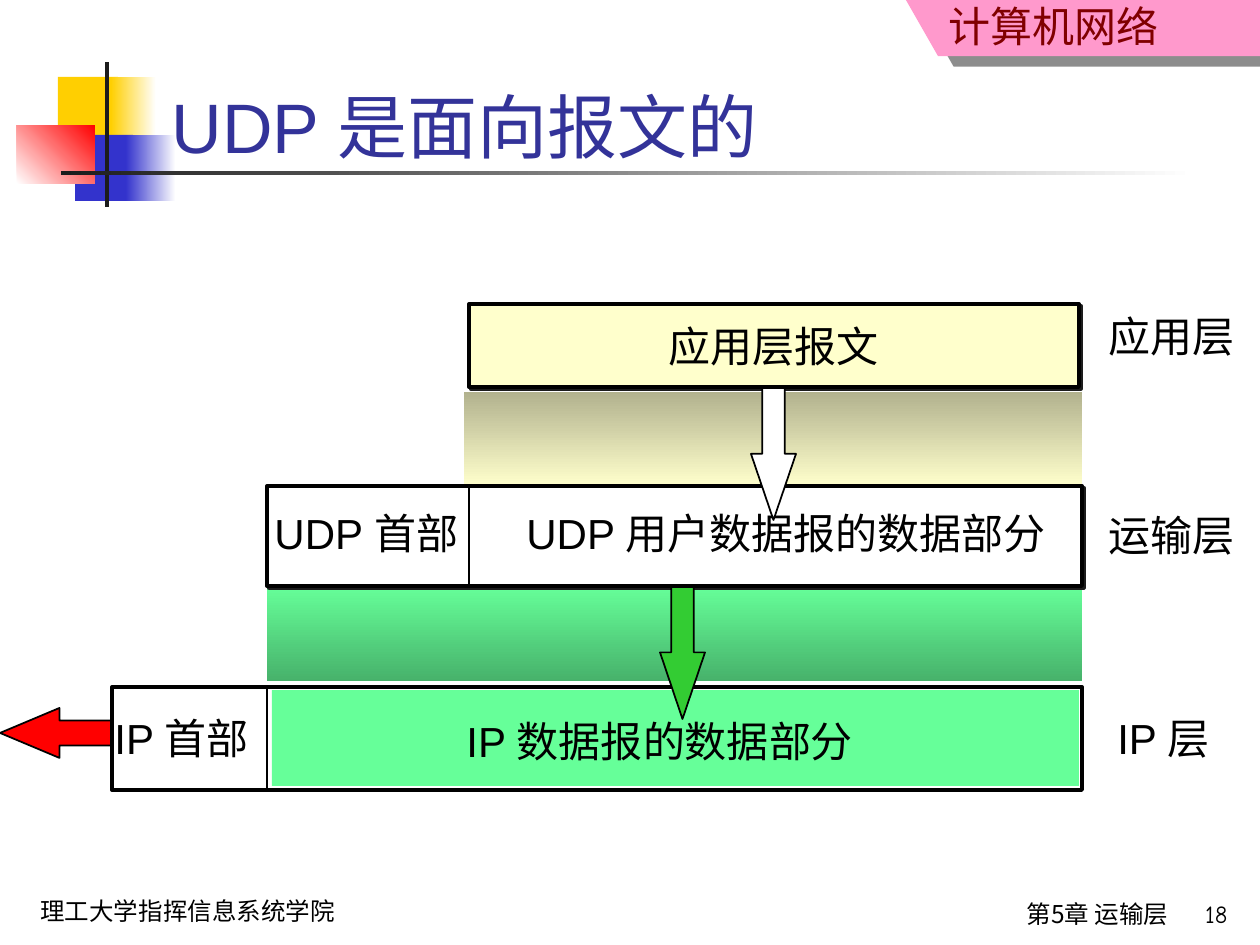
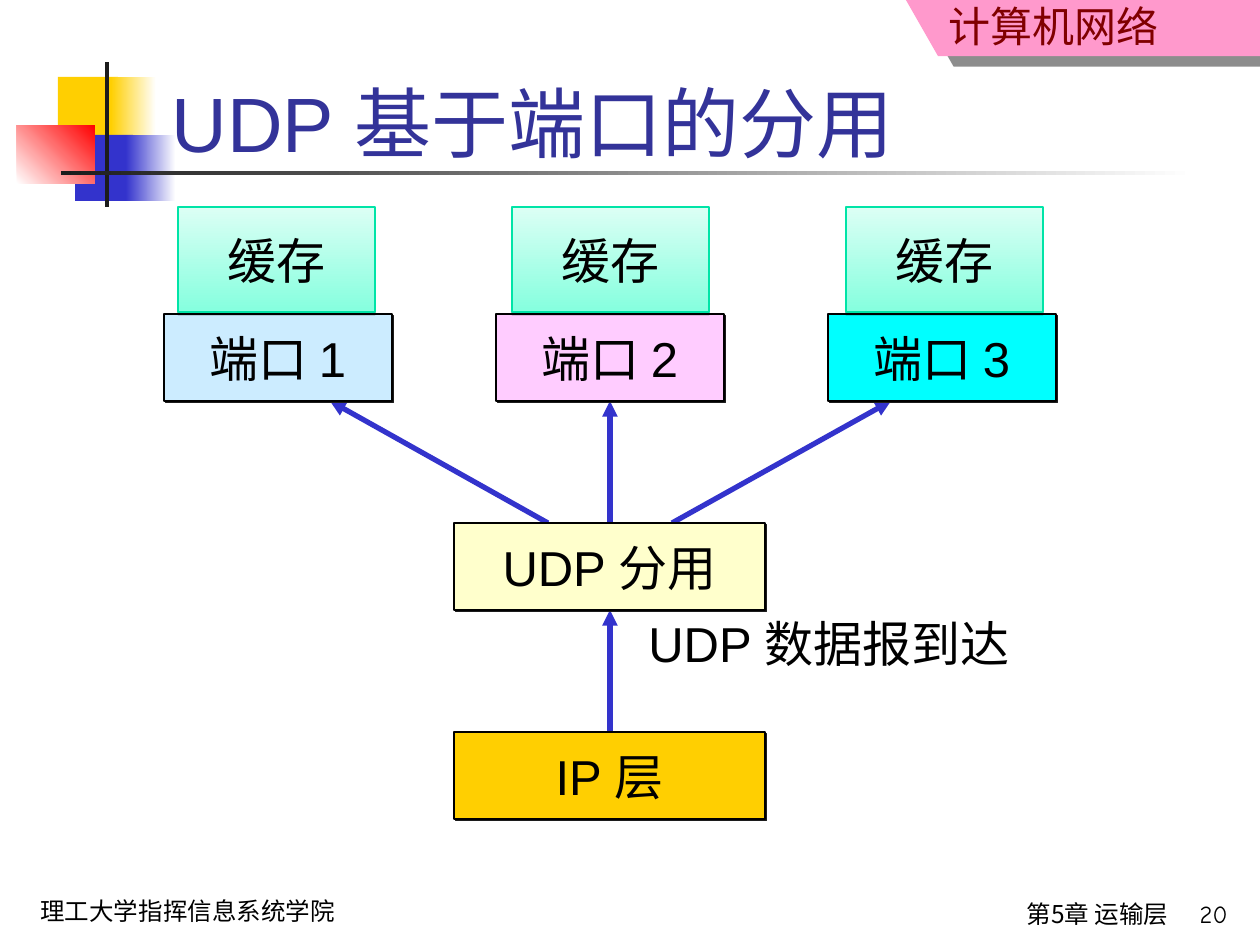
from dataclasses import dataclass
from typing import Optional

from lxml import etree
from pptx import Presentation
from pptx.dml.color import RGBColor
from pptx.enum.shapes import MSO_CONNECTOR, MSO_SHAPE
from pptx.enum.text import MSO_ANCHOR, MSO_AUTO_SIZE, PP_ALIGN
from pptx.oxml.ns import qn
from pptx.util import Emu, Pt

# Enum members
RECTANGLE = MSO_SHAPE.RECTANGLE
DOWN_ARROW = MSO_SHAPE.DOWN_ARROW
LEFT_ARROW = MSO_SHAPE.LEFT_ARROW
STRAIGHT = MSO_CONNECTOR.STRAIGHT
LEFT, CENTER, RIGHT = PP_ALIGN.LEFT, PP_ALIGN.CENTER, PP_ALIGN.RIGHT
TOP, MIDDLE, BOTTOM = MSO_ANCHOR.TOP, MSO_ANCHOR.MIDDLE, MSO_ANCHOR.BOTTOM
FIXED_SIZE, FIT_TEXT = MSO_AUTO_SIZE.NONE, MSO_AUTO_SIZE.SHAPE_TO_FIT_TEXT

# Scale, fonts and colours
EMU_PER_PIXEL = 914400 / 126
SLIDE_WIDTH, SLIDE_HEIGHT = 1260, 945
LATIN_FONT, HAND_FONT, CHINESE_FONT = "Arial", "Comic Neue", "Noto Sans CJK SC"
BLACK, WHITE, INK = "000000", "FFFFFF", "1C1C1C"
GOLD, BLUE, RED, CREAM, MINT = "FFCF01", "3333CC", "FF0000", "FFFFCC", "66FF99"
TITLE_COLOR, BANNER_COLOR, BANNER_TEXT = "333399", "FF99CC", "800000"
RIGHTWARD, UP_RIGHT, UPWARD, DOWNWARD = 0, 45, 90, 270


@dataclass(frozen=True)
class Box:
    left: int
    top: int
    width: int
    height: int


@dataclass(frozen=True)
class Gradient:
    start: str
    end: str
    angle: int


@dataclass(frozen=True)
class Shadow:
    color: str
    opacity: int
    distance: float
    angle: int


@dataclass(frozen=True)
class Block:
    box: Box
    fill: str | Gradient
    line: Optional[str] = None
    line_width: float = 0.75
    shadow: Optional[Shadow] = None
    text: str = ""
    size: int = 28


@dataclass(frozen=True)
class Label:
    text: str
    box: Box


@dataclass(frozen=True)
class Line:
    start: tuple[int, int]
    end: tuple[int, int]


HARD_SHADOW = Shadow(INK, 100, 1.4, 45)
SOFT_SHADOW = Shadow(BLACK, 38, 1.6, 90)
BANNER_SHADOW = Shadow(INK, 50, 10.8, 34)

# Decoration around the title
DECORATION = [
    Block(Box(58, 77, 60, 65), GOLD),
    Block(Box(111, 77, 45, 65), Gradient(GOLD, WHITE, RIGHTWARD)),
    Block(Box(75, 135, 58, 66), BLUE),
    Block(Box(126, 135, 50, 66), Gradient(BLUE, WHITE, RIGHTWARD)),
    Block(Box(17, 125, 78, 59), Gradient(WHITE, RED, UP_RIGHT)),
    Block(Box(105, 62, 4, 145), INK),
    Block(Box(61, 171, 1134, 4), Gradient(INK, WHITE, RIGHTWARD)),
]


def px(length: int) -> Emu:
    return Emu(round(length * EMU_PER_PIXEL))


def place(box: Box) -> tuple[Emu, Emu, Emu, Emu]:
    return px(box.left), px(box.top), px(box.width), px(box.height)


def rgb(color: str) -> RGBColor:
    return RGBColor.from_string(color)


def write_text(shape, text: str, *, size: int, color: str = BLACK,
               font: str = LATIN_FONT, align=LEFT, anchor=TOP, wrap: bool = False,
               auto_size=FIXED_SIZE) -> None:
    frame = shape.text_frame
    frame.text = text
    frame.word_wrap = wrap
    frame.auto_size = auto_size
    frame.vertical_anchor = anchor
    paragraph = frame.paragraphs[0]
    paragraph.alignment = align
    run = paragraph.runs[0]
    run.font.size = Pt(size)
    run.font.color.rgb = rgb(color)
    run.font.name = font
    east_asian = etree.SubElement(run.font._element, qn("a:ea"))
    east_asian.set("typeface", CHINESE_FONT)


def add_text(slide, text: str, box: Box, **text_format):
    shape = slide.shapes.add_textbox(*place(box))
    write_text(shape, text, **text_format)
    return shape


def add_labels(slide, labels: list[Label], size: int) -> None:
    for label in labels:
        add_text(slide, label.text, label.box, size=size, auto_size=FIT_TEXT)


def paint(shape, fill: str | Gradient, line: Optional[str] = None,
          line_width: float = 1, shadow: Optional[Shadow] = None) -> None:
    if isinstance(fill, Gradient):
        shape.fill.gradient()
        shape.fill.gradient_angle = fill.angle
        for stop, color in zip(shape.fill.gradient_stops, (fill.start, fill.end)):
            stop.color.rgb = rgb(color)
    else:
        shape.fill.solid()
        shape.fill.fore_color.rgb = rgb(fill)
    if line:
        shape.line.color.rgb = rgb(line)
        shape.line.width = Pt(line_width)
    else:
        shape.line.fill.background()
    shape.shadow.inherit = False
    if shadow:
        effects = shape.element.spPr.find(qn("a:effectLst"))
        outer = etree.SubElement(effects, qn("a:outerShdw"),
                                 dist=str(int(Pt(shadow.distance))),
                                 dir=str(shadow.angle * 60000),
                                 algn="ctr", rotWithShape="0")
        shade = etree.SubElement(outer, qn("a:srgbClr"), val=shadow.color)
        etree.SubElement(shade, qn("a:alpha"), val=str(shadow.opacity * 1000))


def add_block(slide, block: Block) -> None:
    shape = slide.shapes.add_shape(RECTANGLE, *place(block.box))
    paint(shape, block.fill, block.line, block.line_width, block.shadow)
    if block.text:
        write_text(shape, block.text, size=block.size, align=CENTER, anchor=MIDDLE)


def add_block_arrow(slide, kind, box: Box, fill: str, head: float) -> None:
    shape = slide.shapes.add_shape(kind, *place(box))
    shape.adjustments[0] = 0.5
    shape.adjustments[1] = head
    paint(shape, fill, BLACK)


def add_line(slide, line: Line, color: str = BLACK, width: float = 1,
             arrow: bool = False) -> None:
    connector = slide.shapes.add_connector(
        STRAIGHT, *(px(value) for value in line.start + line.end))
    connector.line.color.rgb = rgb(color)
    connector.line.width = Pt(width)
    if arrow:
        outline = connector.element.spPr.find(qn("a:ln"))
        etree.SubElement(outline, qn("a:tailEnd"), type="triangle")
    etree.SubElement(connector.element.spPr, qn("a:effectLst"))


def start_slide(presentation, title_text: str, title_size: int, number: int):
    """Add a slide with the shared banner, decoration, footer and title."""
    slide = presentation.slides.add_slide(presentation.slide_layouts[5])

    # Course banner
    builder = slide.shapes.build_freeform(906, 0, scale=EMU_PER_PIXEL)
    builder.add_line_segments([(938, 56), (1260, 56), (1260, 0)], close=True)
    paint(builder.convert_to_shape(), BANNER_COLOR, shadow=BANNER_SHADOW)
    course = add_text(slide, "计算机网络", Box(733, 0, 438, 57), size=24,
                      color=BANNER_TEXT, font=CHINESE_FONT, align=RIGHT, wrap=True)
    course.text_frame.margin_top = 0

    for block in DECORATION:
        add_block(slide, block)

    # Footer
    add_text(slide, "理工大学指挥信息系统学院", Box(28, 890, 392, 43), size=14,
             font=HAND_FONT, wrap=True)
    add_text(slide, "第5章 运输层", Box(541, 893, 640, 52), size=14,
             font=CHINESE_FONT, align=RIGHT, wrap=True)
    add_text(slide, str(number), Box(1140, 893, 100, 48), size=14,
             font=HAND_FONT, align=RIGHT, wrap=True)

    # Title, in front of the decoration
    title = slide.shapes.title
    title.left, title.top, title.width, title.height = place(Box(159, 29, 1074, 145))
    write_text(title, title_text, size=title_size, color=TITLE_COLOR,
               anchor=BOTTOM, wrap=True)
    title.element.getparent().append(title.element)
    return slide


def build_encapsulation_slide(presentation) -> None:
    slide = start_slide(presentation, "UDP 是面向报文的", 40, 18)
    add_block_arrow(slide, LEFT_ARROW, Box(0, 708, 118, 50), RED, 1.19)

    # Bands between the layers, then the packets
    for block in [
        Block(Box(267, 586, 815, 95), Gradient(MINT, "47B26B", DOWNWARD)),
        Block(Box(464, 392, 618, 94), Gradient("B2B28E", CREAM, DOWNWARD)),
        Block(Box(267, 486, 815, 100), WHITE, BLACK, 2.25, HARD_SHADOW),
        Block(Box(112, 687, 970, 103), WHITE, BLACK, 2.25),
        Block(Box(272, 690, 807, 96), MINT),
        Block(Box(469, 304, 610, 83), CREAM, BLACK, 2.25, HARD_SHADOW,
              "应用层报文", 24),
    ]:
        add_block(slide, block)

    # Header dividers
    add_line(slide, Line((469, 486), (469, 586)))
    add_line(slide, Line((267, 687), (267, 790)))

    # Packet parts and layer names
    add_block_arrow(slide, DOWN_ARROW, Box(660, 587, 45, 132), "33CC33", 1.48)
    add_labels(slide, [
        Label("IP 数据报的数据部分", Box(454, 709, 422, 63)),
        Label("IP 首部", Box(102, 706, 170, 63)),
        Label("UDP 首部", Box(262, 501, 219, 63)),
        Label("UDP 用户数据报的数据部分", Box(514, 501, 556, 63)),
        Label("应用层", Box(1096, 304, 151, 63)),
        Label("运输层", Box(1096, 503, 151, 63)),
        Label("IP 层", Box(1105, 706, 129, 63)),
    ], size=24)
    add_block_arrow(slide, DOWN_ARROW, Box(751, 388, 45, 132), WHITE, 1.47)


def build_port_slide(presentation) -> None:
    slide = start_slide(presentation, "UDP 基于端口的分用", 44, 20)

    # Paths from the IP layer up to the ports
    for line in [
        Line((610, 732), (610, 610)),
        Line((548, 523), (330, 401)),
        Line((610, 523), (610, 401)),
        Line((672, 523), (891, 401)),
    ]:
        add_line(slide, line, BLUE, 3, arrow=True)

    # IP layer and demultiplexer
    for top, text, fill in [(732, "IP 层", GOLD), (523, "UDP 分用", CREAM)]:
        add_block(slide, Block(Box(454, top, 311, 87), fill, BLACK,
                               shadow=HARD_SHADOW, text=text))
    add_labels(slide, [Label("UDP 数据报到达", Box(636, 607, 398, 72))], size=28)

    # Ports, each with its buffer
    buffer_fill = Gradient("85FFDE", "DCFFF5", UPWARD)
    for index, fill in enumerate(["CCECFF", "FFCCFF", "00FFFF"]):
        add_block(slide, Block(Box(164 + 332 * index, 314, 228, 87), fill, BLACK,
                               shadow=HARD_SHADOW, text=f"端口 {index + 1}"))
        add_block(slide, Block(Box(178 + 334 * index, 207, 197, 105), buffer_fill,
                               "00E4A7", shadow=SOFT_SHADOW, text="缓存"))


presentation = Presentation()
presentation.slide_width = px(SLIDE_WIDTH)
presentation.slide_height = px(SLIDE_HEIGHT)
build_encapsulation_slide(presentation)
build_port_slide(presentation)
presentation.save("out.pptx")
